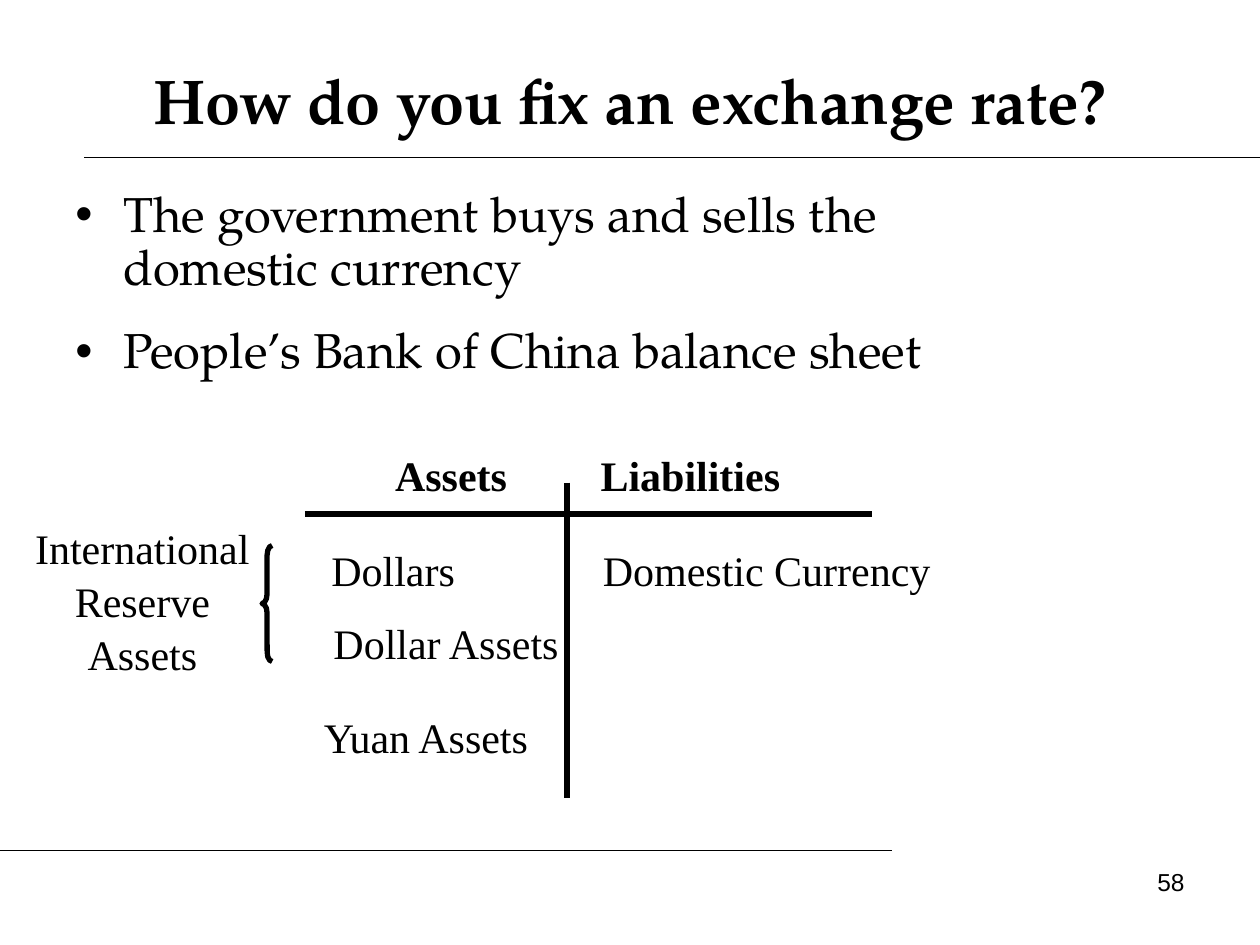
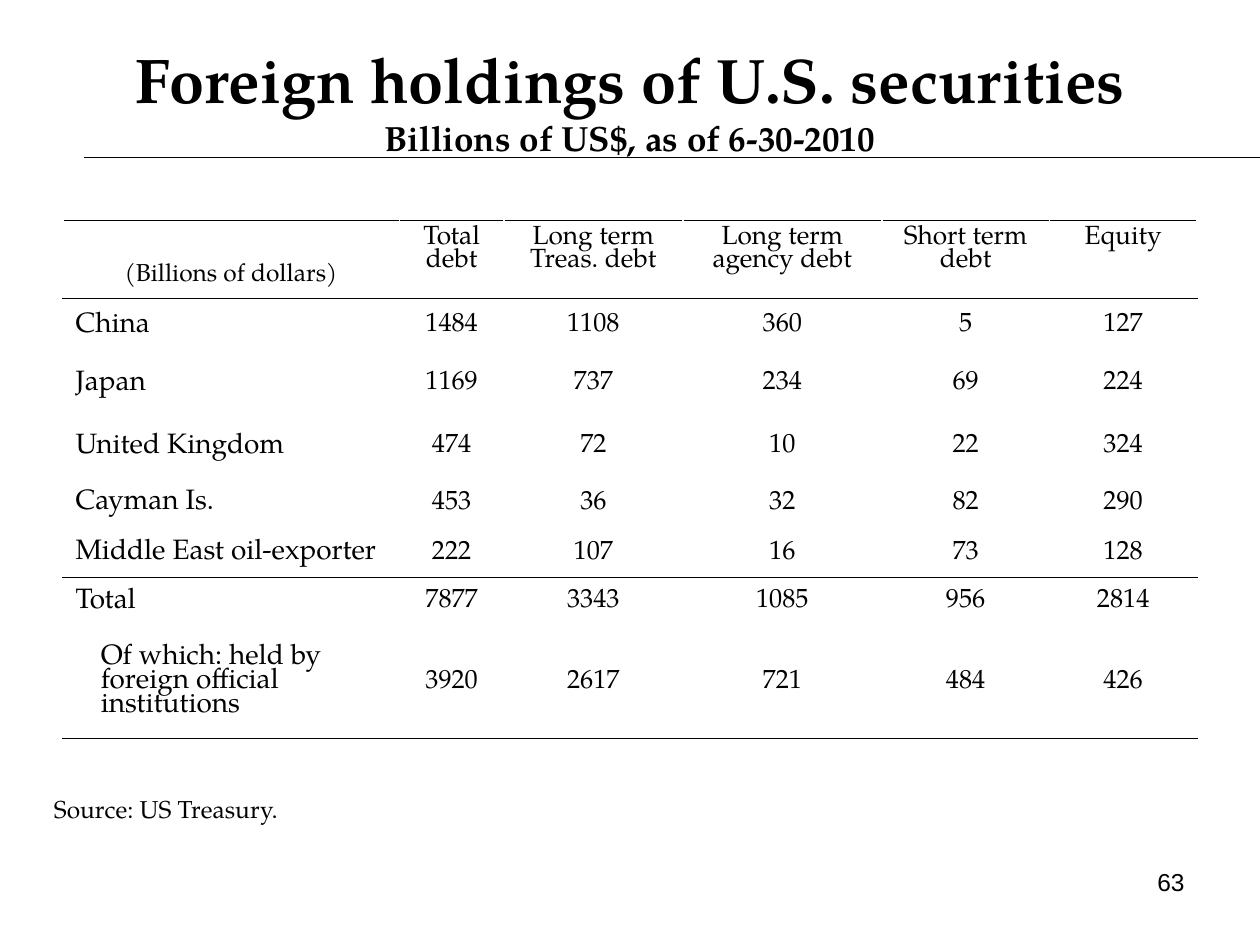
from pptx import Presentation
from pptx import util as u
from pptx.dml.color import RGBColor
from pptx.enum import shapes, text
from pptx.oxml import parse_xml
from pptx.oxml.ns import nsdecls, qn

INK = "000000"
SERIF, TIMES, SANS = "TeX Gyre Pagella", "Times New Roman", "Arial"
LEFT, MID, RIGHT = text.PP_ALIGN.LEFT, text.PP_ALIGN.CENTER, text.PP_ALIGN.RIGHT

TITLE = dict(name=SERIF, size=u.Pt(36), bold=True)
SUB = dict(name=SERIF, size=u.Pt(20), bold=True)
BODY = dict(name=SERIF, size=u.Pt(28))
LABEL = dict(name=TIMES, size=u.Pt(24))
HEAD = dict(LABEL, bold=True)
NOTE = dict(name=SERIF, size=u.Pt(14))
PAGE = dict(name=SANS, size=u.Pt(14))
NAME = dict(name=SERIF, size=u.Pt(16))
VALUE = dict(name=SERIF, size=u.Pt(15))

COLS = [2.67, 0.83, 1.42, 1.58, 1.33, 1.17]
ROWS = [0.62, 0.42, 0.5, 0.5, 0.4, 0.39, 0.38, 0.9]
HOLDINGS = [
    ["(Billions of dollars)", "Total debt", "Long term Treas. debt",
     "Long term agency debt", "Short term debt", "Equity"],
    ["China", 1484, 1108, 360, 5, 127],
    ["Japan", 1169, 737, 234, 69, 224],
    ["United Kingdom", 474, 72, 10, 22, 324],
    ["Cayman Is.", 453, 36, 32, 82, 290],
    ["Middle East oil-exporter", 222, 107, 16, 73, 128],
    ["Total", 7877, 3343, 1085, 956, 2814],
    ["Of which: held by foreign official institutions",
     3920, 2617, 721, 484, 426],
]
# Row boundary -> line width in points
RULES = {0: 0.75, 1: 0.45, 6: 0.45, 8: 0.75}


def color(code):
    return RGBColor.from_string(code)


def box_at(*spans):
    return [u.Inches(span) for span in spans]


def style(font, form):
    for key, value in form.items():
        setattr(font, key, value)
    font.color.rgb = color(INK)


def write(para, words, form, align=LEFT, space=1.0):
    para.alignment = align
    para.line_spacing = space
    run = para.add_run()
    run.text = words
    style(run.font, form)


def add_text(slide, spot, words, form, align=LEFT, space=1.0):
    frame = slide.shapes.add_textbox(*box_at(*spot)).text_frame
    frame.word_wrap = True
    write(frame.paragraphs[0], words, form, align, space)


def add_line(slide, start, end, width=0.75):
    line = slide.shapes.add_connector(
        shapes.MSO_CONNECTOR.STRAIGHT, *box_at(*start, *end))
    line.line.color.rgb = color(INK)
    line.line.width = u.Pt(width)
    line._element.spPr.append(parse_xml(f"<a:effectLst {nsdecls('a')}/>"))


def add_brace(slide, spot):
    brace = slide.shapes.add_shape(
        shapes.MSO_SHAPE.LEFT_BRACE, *box_at(*spot))
    brace.shadow.inherit = False
    brace.fill.background()
    brace.line.color.rgb = color(INK)
    brace.line.width = u.Pt(3)
    brace.adjustments[0] = 0.95


def add_list(slide, spot, items):
    frame = slide.shapes.add_textbox(*box_at(*spot)).text_frame
    frame.word_wrap = True
    for i, item in enumerate(items):
        para = frame.add_paragraph() if i else frame.paragraphs[0]
        write(para, item, BODY, space=0.9)
        if i:
            para.space_before = u.Pt(17.5)
        props = para._p.get_or_add_pPr()
        hang = u.Inches(0.38)
        props.set("marL", str(hang))
        props.set("indent", str(-hang))
        props.append(parse_xml(
            f'<a:buFont {nsdecls("a")} typeface="{SANS}"/>'))
        props.append(parse_xml(f'<a:buChar {nsdecls("a")} char="•"/>'))


def rule_cell(cell, row):
    """Draw the rules that touch the top and bottom of a cell."""
    props = cell._tc.get_or_add_tcPr()
    spot = 0
    for side, edge in (("lnT", row), ("lnB", row + 1)):
        if edge in RULES:
            props.insert(spot, parse_xml(
                f'<a:{side} {nsdecls("a")} w="{u.Pt(RULES[edge])}">'
                f'<a:solidFill><a:srgbClr val="{INK}"/></a:solidFill>'
                f'</a:{side}>'))
            spot += 1


def add_table(slide, left, top, rows):
    spot = box_at(left, top, sum(COLS), sum(ROWS))
    table = slide.shapes.add_table(len(rows), len(COLS), *spot).table
    table.first_row = table.horz_banding = False
    for col, width in zip(table.columns, COLS):
        col.width = u.Inches(width)
    for r, (row, height) in enumerate(zip(rows, ROWS)):
        table.rows[r].height = u.Inches(height)
        for c, entry in enumerate(row):
            cell = table.cell(r, c)
            cell.fill.background()
            rule_cell(cell, r)
            form, align = (VALUE, MID) if c else (NAME, LEFT)
            cell.vertical_anchor = text.MSO_ANCHOR.MIDDLE
            if r == 0:
                cell.vertical_anchor = text.MSO_ANCHOR.TOP
                if c == 0:
                    form, align = NOTE, MID
                    cell.vertical_anchor = text.MSO_ANCHOR.BOTTOM
                    cell.margin_bottom = u.Inches(0.1)
            write(cell.text_frame.paragraphs[0], str(entry), form, align, 0.85)
    table.cell(len(rows) - 1, 0).margin_left = u.Inches(0.3)


def add_slide(deck, title, page, sub=None):
    """Start a slide with its title, title rule and page number."""
    slide = deck.slides.add_slide(deck.slide_layouts[5])
    head = slide.shapes.title
    head.left, head.top, head.width, head.height = box_at(0.5, 0.33, 9, 0.92)
    frame = head.text_frame
    frame.auto_size = text.MSO_AUTO_SIZE.NONE
    frame.vertical_anchor = text.MSO_ANCHOR.MIDDLE
    para = frame.paragraphs[0]
    write(para, title, TITLE, MID)
    if sub:
        para.add_line_break()
        write(para, sub, SUB, MID)
    add_line(slide, (0.67, 1.25), (10, 1.25))
    add_text(slide, (7.17, 6.83, 2.33, 0.52), page, PAGE, RIGHT)
    return slide


def add_sheet(slide):
    """Draw the balance sheet as a T account with its labels."""
    add_line(slide, (4.5, 3.83), (4.5, 6.33), 3)
    add_line(slide, (2.42, 4.08), (6.92, 4.08), 3)
    for words, left, top, width, form in (
            ("Assets", 2.58, 3.5, 2, HEAD),
            ("Liabilities", 4.48, 3.5, 2, HEAD),
            ("Dollars", 2.08, 4.25, 2.08, LABEL),
            ("Dollar Assets", 2.33, 4.83, 2.42, LABEL),
            ("Domestic Currency", 4.42, 4.25, 3.33, LABEL),
            ("Yuan Assets", 2.42, 5.58, 1.92, LABEL),
            ("International Reserve Assets", 0.17, 4.08, 1.92, LABEL)):
        add_text(slide, (left, top, width, 0.5), words, form, MID, 1.05)
    add_brace(slide, (2.08, 4.33, 0.08, 0.92))


def main():
    deck = Presentation()
    deck.slide_width, deck.slide_height = box_at(10, 7.5)

    slide = add_slide(deck, "How do you fix an exchange rate?", "58")
    add_list(slide, (0.5, 1.46, 8.08, 1.71), [
        "The government buys and sells the domestic currency",
        "People’s Bank of China balance sheet"])
    add_sheet(slide)
    add_line(slide, (0, 6.75), (7.08, 6.75))

    slide = add_slide(deck, "Foreign holdings of U.S. securities", "63",
                      "Billions of US$, as of 6-30-2010")
    add_table(slide, 0.5, 1.75, HOLDINGS)
    add_text(slide, (0.33, 6.25, 9.33, 0.34), "Source: US Treasury.", NOTE)

    deck.save("out.pptx")


if __name__ == "__main__":
    main()
